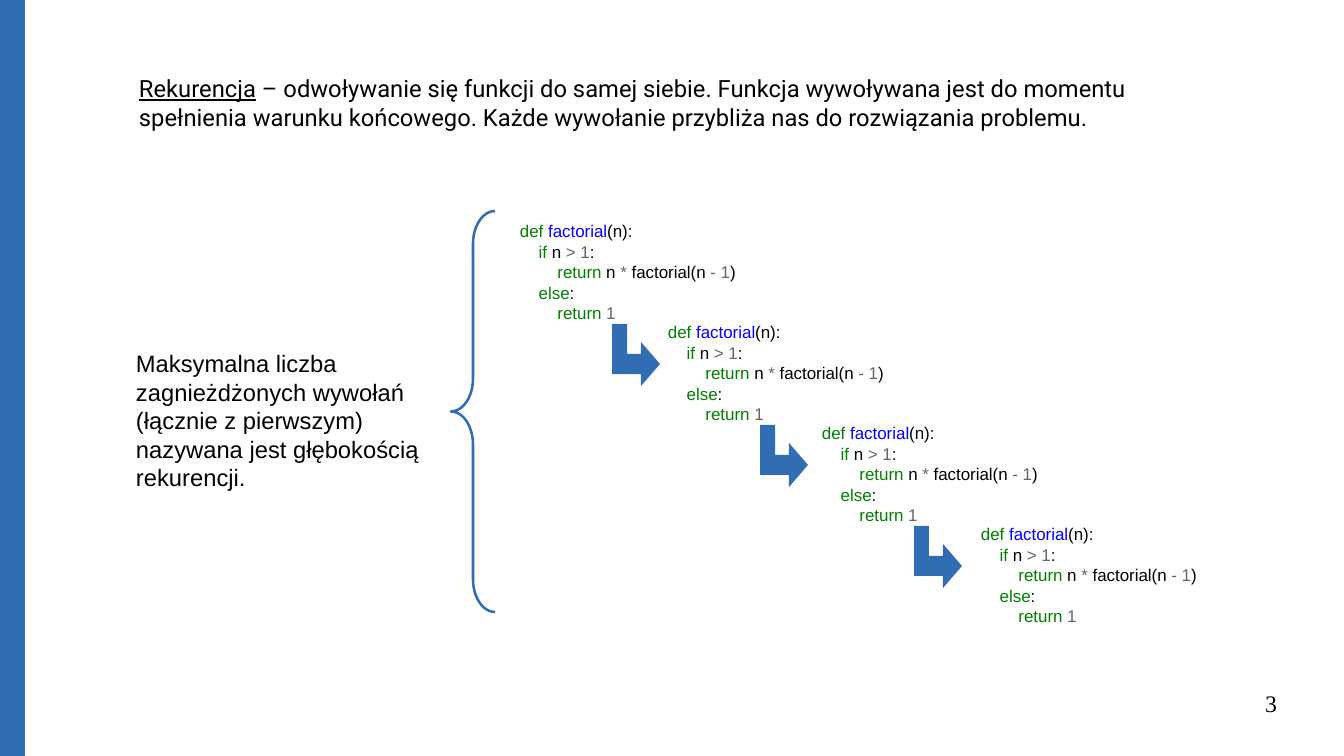
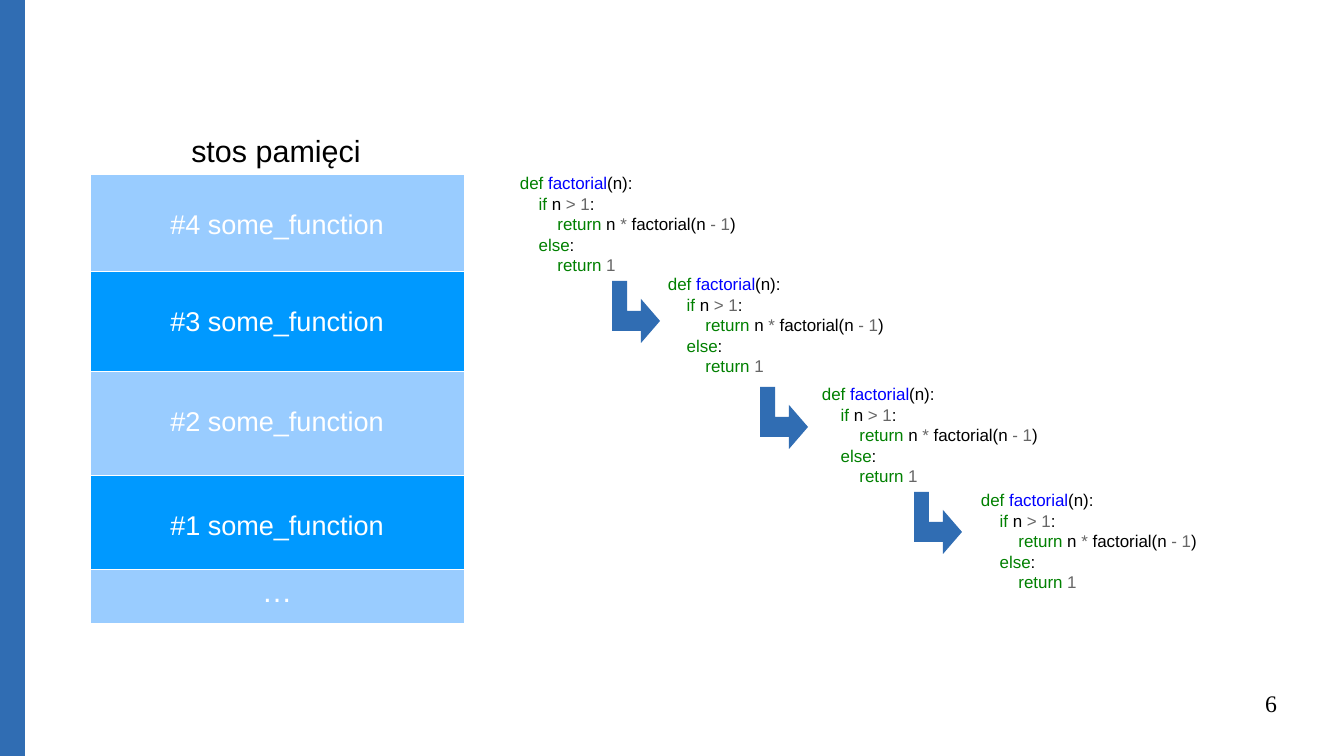
from dataclasses import dataclass
from itertools import cycle

from lxml import etree
from pptx import Presentation
from pptx.dml.color import RGBColor
from pptx.enum.shapes import MSO_SHAPE
from pptx.enum.text import MSO_ANCHOR, MSO_AUTO_SIZE, PP_ALIGN
from pptx.oxml.ns import qn
from pptx.slide import Slide
from pptx.util import Emu, Pt

RECTANGLE, LEFT_BRACE = MSO_SHAPE.RECTANGLE, MSO_SHAPE.LEFT_BRACE
LEFT, CENTER, RIGHT = PP_ALIGN.LEFT, PP_ALIGN.CENTER, PP_ALIGN.RIGHT
TOP = MSO_ANCHOR.TOP
GROW, FIXED = MSO_AUTO_SIZE.SHAPE_TO_FIT_TEXT, MSO_AUTO_SIZE.NONE

BLUE = RGBColor(0x30, 0x6D, 0xB3)
LIGHT_ROW = RGBColor(0x99, 0xCC, 0xFF)
DARK_ROW = RGBColor(0x00, 0x99, 0xFF)
BLACK = RGBColor(0x00, 0x00, 0x00)
WHITE = RGBColor(0xFF, 0xFF, 0xFF)
KEYWORD = RGBColor(0x00, 0x80, 0x00)
FUNCTION = RGBColor(0x00, 0x00, 0xFF)
OPERATOR = RGBColor(0x66, 0x66, 0x66)

EMU_PER_PX = 7495
PAGE_WIDTH, PAGE_HEIGHT = 1344, 756
PAD_X, PAD_Y = 12, 6
BLANK_LAYOUT = 6


@dataclass(frozen=True)
class Frame:
    left: int
    top: int
    width: int
    height: int

    def emu(self) -> tuple[Emu, ...]:
        return tuple(px(n) for n in (self.left, self.top, self.width, self.height))


@dataclass(frozen=True)
class Span:
    text: str
    color: RGBColor = BLACK
    underline: bool = False


@dataclass(frozen=True)
class Style:
    size: int
    font: str = "Arial"
    align: PP_ALIGN = LEFT


@dataclass(frozen=True)
class StackRow:
    text: str
    height: int
    text_top: int = 36
    size: int = 16


CODE_STYLE = Style(10)
BODY_STYLE = Style(14)
DEFINITION_STYLE = Style(14, "Roboto")
CAPTION_STYLE = Style(18, align=CENTER)
NUMBER_STYLE = Style(14, "Times New Roman", RIGHT)

CODE = (
    (Span("def ", KEYWORD), Span("factorial", FUNCTION), Span("(n):")),
    (Span("    if", KEYWORD), Span(" n "), Span("> 1", OPERATOR), Span(":")),
    (Span("        return", KEYWORD), Span(" n "), Span("*", OPERATOR),
     Span(" factorial(n "), Span("- 1", OPERATOR), Span(")")),
    (Span("    else", KEYWORD), Span(":")),
    (Span("        return ", KEYWORD), Span("1", OPERATOR)),
)
CODE_LEFTS = (508, 656, 810, 969)
CODE_WIDTHS = (303, 303, 303, 242)
CODE_HEIGHT = 106
ARROW_SHIFT = 104
ARROW_OUTLINE = ((0, 0), (15, 0), (15, 30), (29, 30), (29, 18),
                 (48, 40), (29, 62), (29, 50), (0, 50))

STACK_ROWS = (
    StackRow("#4 some_function", 97),
    StackRow("#3 some_function", 100),
    StackRow("#2 some_function", 104),
    StackRow("#1 some_function", 94),
    StackRow("…", 54, text_top=PAD_Y, size=18),
)


def px(length: int) -> Emu:
    return Emu(length * EMU_PER_PX)


def write_paragraph(para, spans: tuple[Span, ...], style: Style) -> None:
    para.alignment = style.align
    para.font.size = Pt(style.size)
    para.font.name = style.font
    for span in spans:
        run = para.add_run()
        run.text = span.text
        run.font.color.rgb = span.color
        if span.underline:
            run.font.underline = True


def add_text(page: Slide, frame: Frame, lines: tuple[tuple[Span, ...], ...],
             style: Style, pad_x: int = PAD_X, pad_y: int = PAD_Y,
             auto_size: MSO_AUTO_SIZE = GROW) -> None:
    text = page.shapes.add_textbox(*frame.emu()).text_frame
    text.word_wrap = True
    text.auto_size = auto_size
    text.vertical_anchor = TOP
    text.margin_left = text.margin_right = px(pad_x)
    text.margin_top = text.margin_bottom = px(pad_y)
    for index, spans in enumerate(lines):
        para = text.add_paragraph() if index else text.paragraphs[0]
        write_paragraph(para, spans, style)


def paint(shape) -> None:
    shape.shadow.inherit = False
    shape.fill.solid()
    shape.fill.fore_color.rgb = BLUE
    shape.line.fill.background()


def add_page(deck, number: int) -> Slide:
    """Start a page with the side band and its page number."""
    page = deck.slides.add_slide(deck.slide_layouts[BLANK_LAYOUT])
    band = Frame(0, 0, 25, PAGE_HEIGHT)
    paint(page.shapes.add_shape(RECTANGLE, *band.emu()))
    add_text(page, Frame(964, 689, 313, 52), ((Span(str(number)),),),
             NUMBER_STYLE, pad_x=0, pad_y=0, auto_size=FIXED)
    return page


def add_bent_arrow(page: Slide, left: int, top: int) -> None:
    start, *corners = ARROW_OUTLINE
    builder = page.shapes.build_freeform(*start, scale=EMU_PER_PX)
    builder.add_line_segments(corners, close=True)
    paint(builder.convert_to_shape(px(left), px(top)))


def add_call_chain(page: Slide, code_tops: tuple[int, ...],
                   arrow_tops: tuple[int, ...]) -> None:
    """Draw the nested calls as a staircase, an arrow between neighbours."""
    for left, top, width in zip(CODE_LEFTS, code_tops, CODE_WIDTHS):
        add_text(page, Frame(left, top, width, CODE_HEIGHT), CODE, CODE_STYLE)
    for left, top in zip(CODE_LEFTS, arrow_tops):
        add_bent_arrow(page, left + ARROW_SHIFT, top)


def add_brace(page: Slide, frame: Frame) -> None:
    brace = page.shapes.add_shape(LEFT_BRACE, *frame.emu())
    brace.shadow.inherit = False
    brace.fill.background()
    brace.line.color.rgb = BLUE
    brace.line.width = Pt(1.5)
    brace.adjustments[0] = 0.75


def set_cell_borders(cell) -> None:
    """Give a cell hairline white borders, placed ahead of its fill."""
    properties = cell._tc.get_or_add_tcPr()
    for position, side in enumerate(("a:lnL", "a:lnR", "a:lnT", "a:lnB")):
        line = etree.Element(qn(side), w=str(Pt(0.06)))
        fill = etree.SubElement(line, qn("a:solidFill"))
        etree.SubElement(fill, qn("a:srgbClr"), val=str(WHITE))
        properties.insert(position, line)


def add_memory_stack(page: Slide, left: int, top: int, width: int) -> None:
    height = sum(row.height for row in STACK_ROWS)
    frame = Frame(left, top, width, height)
    table = page.shapes.add_table(len(STACK_ROWS), 1, *frame.emu()).table
    table.first_row = table.horz_banding = False
    for index, (row, color) in enumerate(zip(STACK_ROWS, cycle((LIGHT_ROW, DARK_ROW)))):
        table.rows[index].height = px(row.height)
        cell = table.cell(index, 0)
        cell.fill.solid()
        cell.fill.fore_color.rgb = color
        cell.vertical_anchor = TOP
        cell.margin_left = cell.margin_right = px(PAD_X)
        cell.margin_top, cell.margin_bottom = px(row.text_top), px(PAD_Y)
        set_cell_borders(cell)
        write_paragraph(cell.text_frame.paragraphs[0], (Span(row.text, WHITE),),
                        Style(row.size, align=CENTER))


def add_recursion_page(deck) -> None:
    page = add_page(deck, 3)
    definition = (
        Span("Rekurencja", underline=True),
        Span(" – odwoływanie się funkcji do samej siebie. Funkcja wywoływana jest "
             "do momentu spełnienia warunku końcowego. Każde wywołanie przybliża "
             "nas do rozwiązania problemu."),
    )
    add_text(page, Frame(127, 68, 1091, 77), (definition,), DEFINITION_STYLE)
    depth = Span("Maksymalna liczba zagnieżdżonych wywołań (łącznie z pierwszym) "
                 "nazywana jest głębokością rekurencji.")
    add_text(page, Frame(124, 343, 322, 160), ((depth,),), BODY_STYLE)
    add_brace(page, Frame(451, 211, 44, 401))
    add_call_chain(page, tuple(range(215, 519, 101)), tuple(range(324, 527, 101)))


def add_stack_page(deck) -> None:
    page = add_page(deck, 6)
    add_memory_stack(page, 90, 174, 374)
    add_text(page, Frame(90, 126, 372, 46), ((Span("stos pamięci"),),), CAPTION_STYLE)
    add_call_chain(page, (167, 268, 378, 484), (281, 387, 492))


def main() -> None:
    deck = Presentation()
    deck.slide_width, deck.slide_height = px(PAGE_WIDTH), px(PAGE_HEIGHT)
    add_recursion_page(deck)
    add_stack_page(deck)
    deck.save("out.pptx")


if __name__ == "__main__":
    main()
